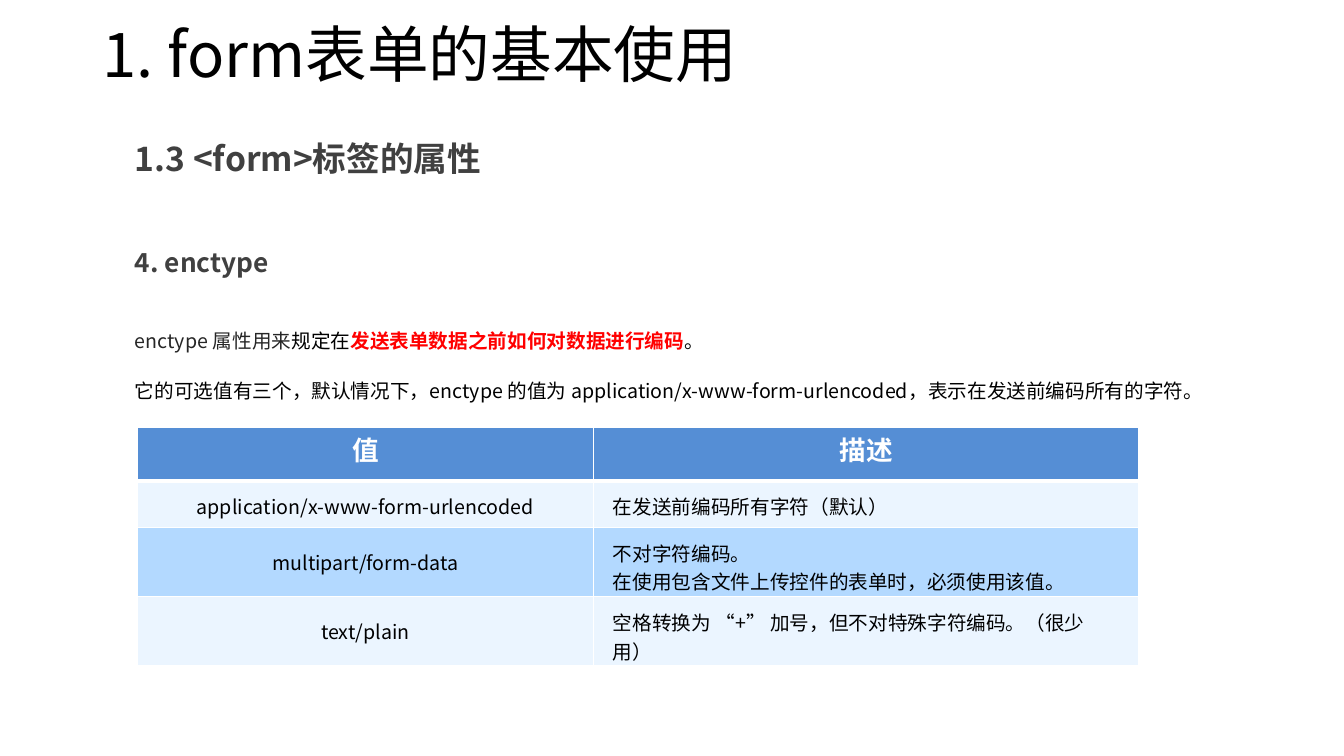
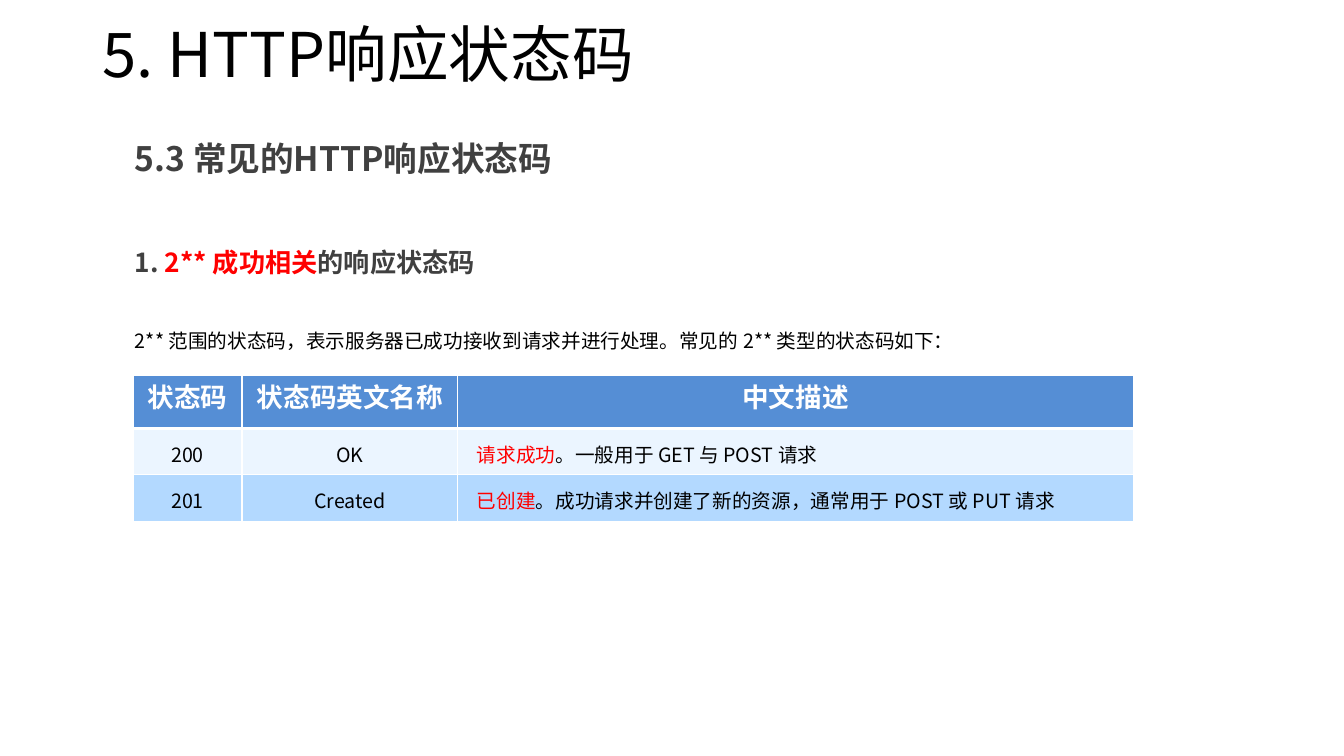
from dataclasses import dataclass

from lxml import etree
from pptx import Presentation
from pptx.dml.color import RGBColor
from pptx.enum.text import MSO_ANCHOR, PP_ALIGN
from pptx.oxml.ns import qn
from pptx.util import Inches, Pt

TOP, MIDDLE = MSO_ANCHOR.TOP, MSO_ANCHOR.MIDDLE
LEFT, CENTER = PP_ALIGN.LEFT, PP_ALIGN.CENTER

FONT = "Noto Sans CJK SC"
COLORS = {
    "black": "000000",
    "heading": "404040",
    "soft": "262626",
    "accent": "FF0000",
    "white": "FFFFFF",
    "header": "558ED5",
    "light": "EBF5FF",
    "band": "B3D9FF",
}


@dataclass
class Span:
    text: str
    color: str = "black"
    bold: bool = False


Line = list[Span]


@dataclass
class TextStyle:
    size: float
    line_spacing: float | Pt | None = None
    space_before: float = 0
    align: PP_ALIGN = LEFT


@dataclass
class Box:
    left: float
    top: float
    width: float
    height: float
    anchor: MSO_ANCHOR = TOP


@dataclass
class TableData:
    left: float
    top: float
    col_widths: list[float]
    row_heights: list[float]
    header: list[str]
    rows: list[list[list[Line]]]


@dataclass
class SlideData:
    title: str
    section: str
    topic: Line
    body_box: Box
    body: list[Line]
    table: TableData


# Shared places and text styles
TITLE_BOX = Box(0.92, 0, 9.82, 1.15, MIDDLE)
SECTION_BOX = Box(1.24, 1.36, 9.5, 0.79)
TOPIC_BOX = Box(1.24, 2.43, 9.46, 0.38)
TITLE = TextStyle(44, 0.9)
SECTION = TextStyle(24, 0.9)
TOPIC = TextStyle(18.7, 0.9)
BODY = TextStyle(14, 1.5, 10)
HEADER = TextStyle(19, Pt(24), align=CENTER)
KEY_CELL = TextStyle(14, align=CENTER)
TEXT_CELL = TextStyle(14)


def plain(*texts: str) -> list[Line]:
    return [[Span(text)] for text in texts]


SLIDES = [
    SlideData(
        "1. form表单的基本使用",
        "1.3 <form>标签的属性",
        [Span("4. enctype", "heading", True)],
        Box(1.24, 3.1, 10.97, 4.2),
        [
            [
                Span("enctype 属性用来", "soft"),
                Span("规定在"),
                Span("发送表单数据之前如何对数据进行编码", "accent", True),
                Span("。"),
            ],
            [Span("它的可选值有三个，默认情况下，enctype 的值为 "
                  "application/x-www-form-urlencoded，表示在发送前编码所有的字符。")],
        ],
        TableData(
            1.36, 4.24, [4.53, 5.4], [0.53, 0.46, 0.69, 0.46],
            ["值", "描述"],
            [
                [plain("application/x-www-form-urlencoded"),
                 plain("在发送前编码所有字符（默认）")],
                [plain("multipart/form-data"),
                 plain("不对字符编码。", "在使用包含文件上传控件的表单时，必须使用该值。")],
                [plain("text/plain"),
                 plain("空格转换为 “+” 加号，但不对特殊字符编码。（很少用）")],
            ],
        ),
    ),
    SlideData(
        "5. HTTP响应状态码",
        "5.3 常见的HTTP响应状态码",
        [
            Span("1. ", "heading", True),
            Span("2** 成功相关", "accent", True),
            Span("的响应状态码", "heading", True),
        ],
        Box(1.24, 3.1, 10.31, 0.61),
        plain("2** 范围的状态码，表示服务器已成功接收到请求并进行处理。"
              "常见的 2** 类型的状态码如下："),
        TableData(
            1.32, 3.72, [1.08, 2.14, 6.7], [0.53, 0.46, 0.46],
            ["状态码", "状态码英文名称", "中文描述"],
            [
                [plain("200"), plain("OK"),
                 [[Span("请求成功", "accent"),
                   Span("。一般用于 GET 与 POST 请求")]]],
                [plain("201"), plain("Created"),
                 [[Span("已创建", "accent"),
                   Span("。成功请求并创建了新的资源，通常用于 POST 或 PUT 请求")]]],
            ],
        ),
    ),
]


def rgb(name: str) -> RGBColor:
    return RGBColor.from_string(COLORS[name])


def write_lines(tf, lines: list[Line], style: TextStyle) -> None:
    for i, line in enumerate(lines):
        p = tf.add_paragraph() if i else tf.paragraphs[0]
        p.alignment = style.align
        if style.line_spacing:
            p.line_spacing = style.line_spacing
        p.space_before = Pt(style.space_before if i else 0)
        for span in line:
            r = p.add_run()
            r.text = span.text
            r.font.size = Pt(style.size)
            r.font.bold = span.bold
            r.font.color.rgb = rgb(span.color)
            r.font.name = FONT
            # East Asian characters take their own font entry
            etree.SubElement(r.font._element, qn("a:ea"), typeface=FONT)


def add_text(s, box: Box, lines: list[Line], style: TextStyle) -> None:
    sp = s.shapes.add_textbox(Inches(box.left), Inches(box.top),
                              Inches(box.width), Inches(box.height))
    tf = sp.text_frame
    tf.word_wrap = True
    tf.vertical_anchor = box.anchor
    write_lines(tf, lines, style)


def set_borders(cell, top: float, bottom: float) -> None:
    tc_pr = cell._tc.get_or_add_tcPr()
    widths = {"a:lnL": 1, "a:lnR": 1, "a:lnT": top, "a:lnB": bottom}
    for i, (tag, width) in enumerate(widths.items()):
        ln = etree.Element(qn(tag), w=str(Pt(width)))
        fill = etree.SubElement(ln, qn("a:solidFill"))
        etree.SubElement(fill, qn("a:srgbClr"), val=COLORS["white"])
        tc_pr.insert(i, ln)


def fill_cell(cell, lines: list[Line], style: TextStyle, fill: str,
              anchor: MSO_ANCHOR, margins: tuple[float, float]) -> None:
    side, edge = margins
    cell.margin_left = cell.margin_right = Inches(side)
    cell.margin_top = cell.margin_bottom = Inches(edge)
    cell.vertical_anchor = anchor
    cell.fill.solid()
    cell.fill.fore_color.rgb = rgb(fill)
    write_lines(cell.text_frame, lines, style)


def add_data_table(s, data: TableData) -> None:
    table = s.shapes.add_table(
        len(data.row_heights), len(data.col_widths),
        Inches(data.left), Inches(data.top),
        Inches(sum(data.col_widths)), Inches(sum(data.row_heights))).table
    for column, width in zip(table.columns, data.col_widths):
        column.width = Inches(width)
    for row, height in zip(table.rows, data.row_heights):
        row.height = Inches(height)

    # Header row with a thick rule below
    for col, text in enumerate(data.header):
        cell = table.cell(0, col)
        fill_cell(cell, [[Span(text, "white", True)]], HEADER, "header",
                  TOP, (0.13, 0.07))
        set_borders(cell, 1, 3)

    # Banded rows; only the last column is left-aligned
    last = len(data.header) - 1
    for row, contents in enumerate(data.rows, start=1):
        for col, lines in enumerate(contents):
            cell = table.cell(row, col)
            fill_cell(cell, lines, TEXT_CELL if col == last else KEY_CELL,
                      "light" if row % 2 else "band", MIDDLE, (0.19, 0.11))
            set_borders(cell, 3 if row == 1 else 1, 1)


def add_slide(prs, data: SlideData) -> None:
    s = prs.slides.add_slide(prs.slide_layouts[6])
    s.background.fill.solid()
    s.background.fill.fore_color.rgb = rgb("white")
    add_text(s, TITLE_BOX, plain(data.title), TITLE)
    add_text(s, SECTION_BOX, [[Span(data.section, "heading", True)]], SECTION)
    add_text(s, TOPIC_BOX, [data.topic], TOPIC)
    add_text(s, data.body_box, data.body, BODY)
    add_data_table(s, data.table)


def main() -> None:
    prs = Presentation()
    prs.slide_width, prs.slide_height = Inches(13.33), Inches(7.5)
    for data in SLIDES:
        add_slide(prs, data)
    prs.save("out.pptx")


if __name__ == "__main__":
    main()
